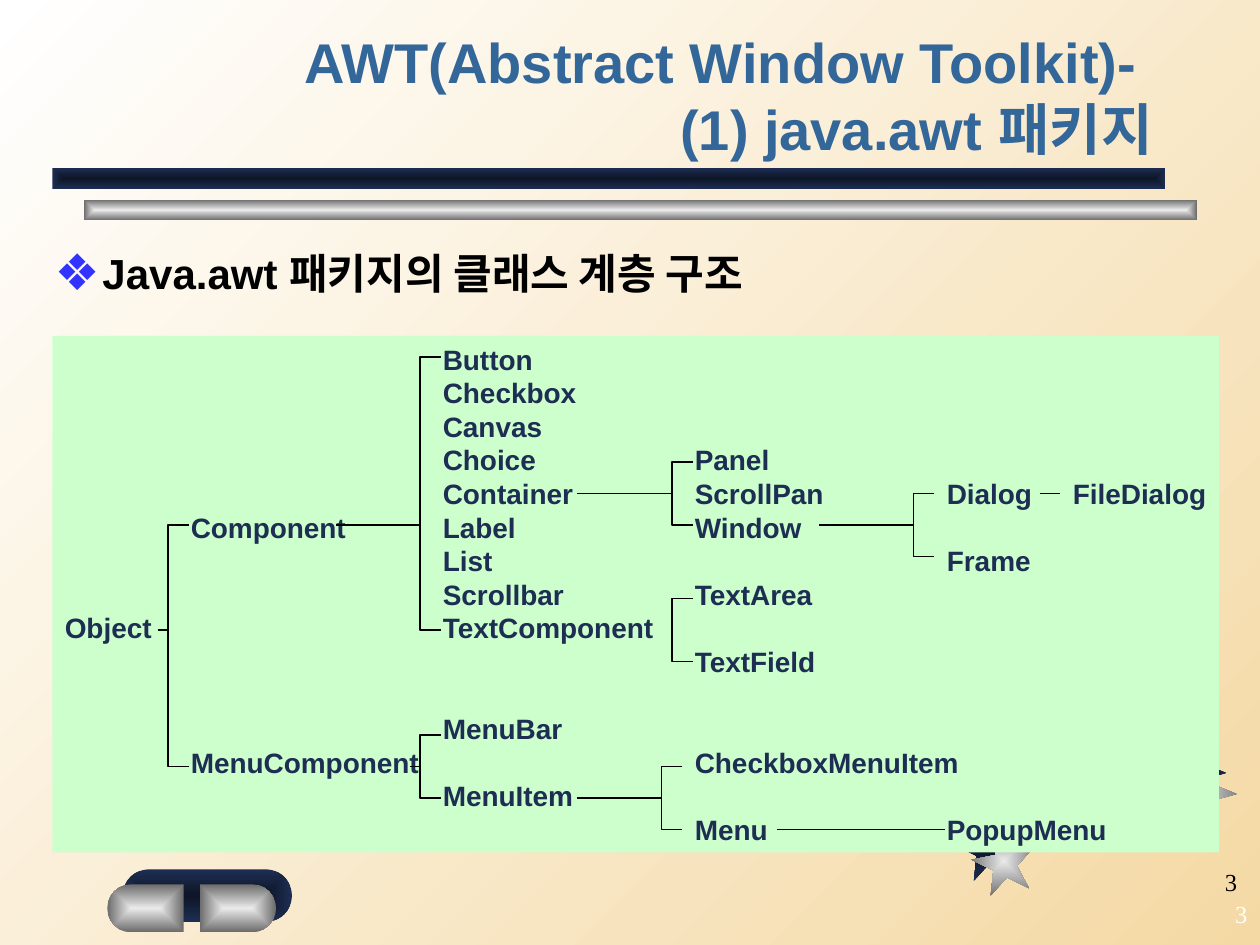
from dataclasses import dataclass
from math import cos, pi, sin

from lxml import etree
from pptx import Presentation
from pptx.dml.color import RGBColor
from pptx.enum.shapes import MSO_CONNECTOR, MSO_SHAPE
from pptx.enum.text import MSO_ANCHOR, MSO_AUTO_SIZE, PP_ALIGN
from pptx.oxml.ns import qn
from pptx.util import Inches, Pt

STAR, RECTANGLE, PILL = MSO_SHAPE.STAR_5_POINT, MSO_SHAPE.RECTANGLE, MSO_SHAPE.ROUNDED_RECTANGLE
STRAIGHT = MSO_CONNECTOR.STRAIGHT
TOP, MIDDLE, BOTTOM = MSO_ANCHOR.TOP, MSO_ANCHOR.MIDDLE, MSO_ANCHOR.BOTTOM
LEFT, RIGHT = PP_ALIGN.LEFT, PP_ALIGN.RIGHT
NO_AUTOFIT = MSO_AUTO_SIZE.NONE

CELLS_PER_INCH = 12  # the slide is a grid of 120 columns and 90 rows
ARM = 2              # columns from a bracket's spine to its tips


@dataclass(frozen=True)
class Theme:
    paper: tuple = ("F4D9A4", "FFFFFF")
    navy: tuple = ("0D1526", "1E2E53")
    silver: tuple = ("EAEAEA", "6B6B6B")
    title: str = "336699"
    ink: str = "000000"
    white: str = "FFFFFF"
    bullet: str = "3333FF"
    panel: str = "CCFFCC"
    tree: str = "1E2E53"
    sans: str = "Arial"
    serif: str = "Times New Roman"
    title_size: float = 32
    body_size: float = 24
    tree_size: float = 16
    tree_pitch: float = 19.2
    page_size: float = 14
    line_width: float = 1


CLASS_TREE = [
    "\t\t\tButton",
    "\t\t\tCheckbox",
    "\t\t\tCanvas",
    "\t\t\tChoice\t\tPanel",
    "\t\t\tContainer\tScrollPan\tDialog\tFileDialog",
    "\tComponent\tLabel\t\tWindow",
    "\t\t\tList\t\t\t\tFrame",
    "\t\t\tScrollbar \tTextArea",
    "Object\t\t\tTextComponent",
    "\t\t\t\t\tTextField",
    "\t\t\tMenuBar",
    "\tMenuComponent\t\t\tCheckboxMenuItem",
    "\t\t\tMenuItem",
    "\t\t\t\t\tMenu\t\tPopupMenu",
]
MENU_BRANCH = 10  # this line of the tree stands one line further down

# spine column, top row, bottom row
BRACKETS = [(16, 50, 73), (40, 34, 60), (64, 44, 50), (87, 47, 53),
            (40, 70, 76), (63, 73, 79), (64, 57, 63)]
# start column, end column, row
LINKS = [(32, 40, 50), (39, 40, 73), (55, 64, 47), (55, 63, 76),
         (74, 90, 79), (78, 87, 50), (99, 101, 47), (15, 16, 60)]


def grid(*cells):
    return [Inches(cell / CELLS_PER_INCH) for cell in cells]


def set_all(target, values):
    for name, value in values.items():
        setattr(target, name, value)


def add_element(parent, tag, **attributes):
    return etree.SubElement(parent, qn(tag), attributes)


class SlideBuilder:
    def __init__(self, page, theme):
        self.page, self.theme = page, theme

    def gradient(self, fill, colors):
        fill.gradient()
        for stop, color in zip(fill.gradient_stops, colors):
            stop.color.rgb = RGBColor.from_string(color)

    def background(self):
        fill = self.page.background.fill
        self.gradient(fill, self.theme.paper)
        fill.gradient_angle = 135

    def bevel(self, shape, colors):
        """Fill from the centre outwards, without line or shadow."""
        self.gradient(shape.fill, colors)
        gradient = shape._element.spPr.find(qn("a:gradFill"))
        gradient.remove(gradient.find(qn("a:lin")))
        center = add_element(gradient, "a:path", path="rect")
        add_element(center, "a:fillToRect", l="50000", t="50000", r="50000", b="50000")
        shape.line.fill.background()
        shape.shadow.inherit = False

    def ornament(self, kind, cells, colors, rotation=0):
        shape = self.page.shapes.add_shape(kind, *grid(*cells))
        shape.rotation = rotation
        self.bevel(shape, colors)
        return shape

    def outline(self, points, close):
        start, *rest = [grid(*point) for point in points]
        builder = self.page.shapes.build_freeform(*start)
        builder.add_line_segments(rest, close=close)
        shape = builder.convert_to_shape()
        shape.shadow.inherit = False
        return shape

    def half_pill(self, flat, center, middle, radius):
        """A pill end: straight at column flat, round about column center."""
        side = 1 if center > flat else -1
        angles = [pi * step / 12 - pi / 2 for step in range(13)]
        arc = [(center + side * radius * cos(a), middle + radius * sin(a)) for a in angles]
        points = [(flat, middle - radius), *arc, (flat, middle + radius)]
        self.bevel(self.outline(points, True), self.theme.silver)

    def stroke(self, line):
        line.color.rgb = RGBColor.from_string(self.theme.ink)
        line.width = Pt(self.theme.line_width)

    def bracket(self, spine, top, bottom):
        tip = spine + ARM
        shape = self.outline([(tip, top), (spine, top), (spine, bottom), (tip, bottom)], False)
        shape.fill.background()
        self.stroke(shape.line)

    def link(self, start, end, row):
        line = self.page.shapes.add_connector(STRAIGHT, *grid(start, row, end, row))
        self.stroke(line.line)
        add_element(line._element.spPr, "a:effectLst")

    def set_text(self, box, lines, size, color, font, bold=True, anchor=TOP, **para_format):
        frame = box.text_frame
        set_all(frame, {"word_wrap": True, "auto_size": NO_AUTOFIT, "vertical_anchor": anchor})
        frame.text = "\n".join(lines)
        for para in frame.paragraphs:
            set_all(para, {"alignment": LEFT, **para_format})
            for span in para.runs:
                set_all(span.font, {"name": font, "size": Pt(size), "bold": bold})
                span.font.color.rgb = RGBColor.from_string(color)
        return frame.paragraphs

    def place(self, box, cells):
        set_all(box, dict(zip(("left", "top", "width", "height"), grid(*cells))))

    def title(self, text, cells):
        box, theme = self.page.shapes.title, self.theme
        self.place(box, cells)
        self.set_text(box, [text], theme.title_size, theme.title, theme.sans,
                      anchor=BOTTOM, alignment=RIGHT)

    def body(self, lines, cells):
        box, theme = self.page.placeholders[1], self.theme
        self.place(box, cells)
        for para in self.set_text(box, lines, theme.body_size, theme.ink, theme.sans,
                                  space_before=Pt(6)):
            style = para._p.get_or_add_pPr()
            indent = Inches(0.38)
            style.set("marL", str(indent))
            style.set("indent", str(-indent))
            add_element(add_element(style, "a:buClr"), "a:srgbClr", val=theme.bullet)
            add_element(style, "a:buSzPct", val="120000")
            add_element(style, "a:buFont", typeface=theme.sans)
            add_element(style, "a:buChar", char="❖")

    def tree_panel(self, lines, cells):
        theme = self.theme
        panel = self.page.shapes.add_shape(RECTANGLE, *grid(*cells))
        panel.shadow.inherit = False
        panel.fill.solid()
        panel.fill.fore_color.rgb = RGBColor.from_string(theme.panel)
        panel.line.fill.background()
        panel.text_frame.margin_right = 0
        paras = self.set_text(panel, lines, theme.tree_size, theme.tree, theme.sans,
                              line_spacing=Pt(theme.tree_pitch))
        paras[MENU_BRANCH].space_before = Pt(theme.tree_pitch)
        for para in paras:
            stops = add_element(para._p.get_or_add_pPr(), "a:tabLst")
            for inch in range(1, 9):
                add_element(stops, "a:tab", pos=str(Inches(inch)), algn="l")

    def page_number(self, cells, color, **text_format):
        box = self.page.shapes.add_textbox(*grid(*cells))
        self.set_text(box, ["3"], self.theme.page_size, color, self.theme.serif,
                      bold=False, alignment=RIGHT, **text_format)


def main():
    deck = Presentation()
    deck.slide_width, deck.slide_height = grid(120, 90)
    theme = Theme()
    slide = SlideBuilder(deck.slides.add_slide(deck.slide_layouts[1]), theme)

    slide.background()
    for colors, small, large in ((theme.navy, (91, 77.6), (108.7, 69)),
                                 (theme.silver, (92.6, 79), (109.7, 71))):
        slide.ornament(STAR, (*small, 6, 6), colors, 349)
        slide.ornament(STAR, (*large, 8, 8), colors, 22)
    slide.ornament(RECTANGLE, (8, 19, 106, 2), theme.silver)
    slide.ornament(RECTANGLE, (5, 16, 106, 2), theme.navy)
    slide.ornament(PILL, (11.7, 82.8, 16.1, 5), theme.navy).adjustments[0] = 0.5
    slide.half_pill(17.5, 12.5, 86.5, 2.28)
    slide.half_pill(19, 24, 86.5, 2.28)

    slide.title("AWT(Abstract Window Toolkit)- \v(1) java.awt 패키지", (9, 5, 102, 11))
    slide.body(["Java.awt 패키지의 클래스 계층 구조"], (4, 23, 111, 64))
    slide.tree_panel(CLASS_TREE, (5, 32, 111.1, 49.2))
    for bracket in BRACKETS:
        slide.bracket(*bracket)
    for link in LINKS:
        slide.link(*link)
    slide.page_number((94, 82, 25, 6), theme.ink, space_before=Pt(8.8))
    slide.page_number((95, 84, 25, 6), theme.white, anchor=MIDDLE)
    deck.save("out.pptx")


if __name__ == "__main__":
    main()
